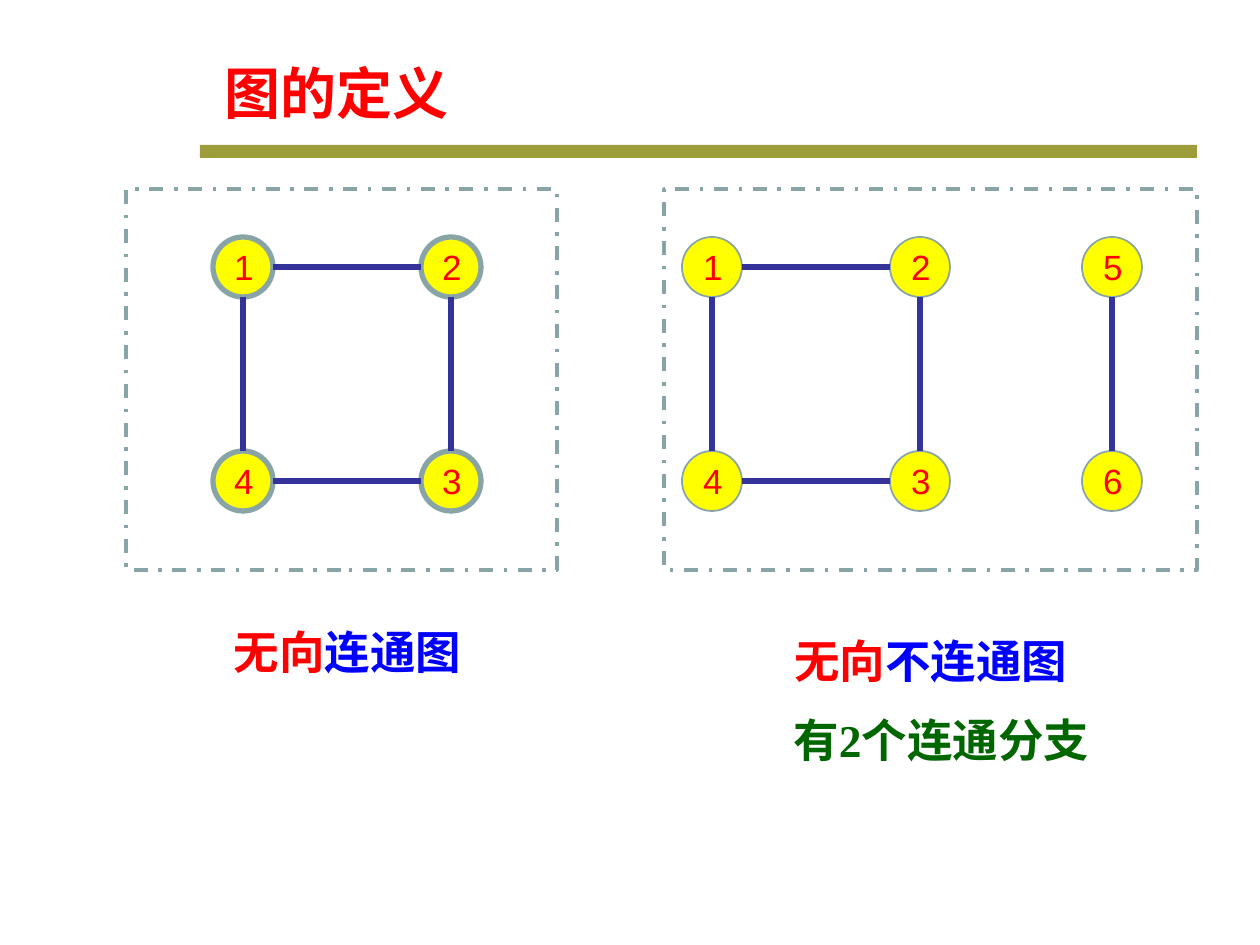
from dataclasses import dataclass

from lxml import etree
from pptx import Presentation
from pptx.dml.color import RGBColor
from pptx.enum.dml import MSO_LINE
from pptx.enum.shapes import MSO_CONNECTOR, MSO_SHAPE
from pptx.enum.text import MSO_ANCHOR, MSO_AUTO_SIZE, PP_ALIGN
from pptx.oxml.ns import qn
from pptx.util import Emu, Pt

RECTANGLE, OVAL = MSO_SHAPE.RECTANGLE, MSO_SHAPE.OVAL
STRAIGHT = MSO_CONNECTOR.STRAIGHT
DASH_DOT = MSO_LINE.DASH_DOT
TOP, MIDDLE = MSO_ANCHOR.TOP, MSO_ANCHOR.MIDDLE
LEFT, CENTER, RIGHT = PP_ALIGN.LEFT, PP_ALIGN.CENTER, PP_ALIGN.RIGHT
GROW, FIXED = MSO_AUTO_SIZE.SHAPE_TO_FIT_TEXT, MSO_AUTO_SIZE.NONE
TITLE_ONLY = 5

RED = RGBColor(0xFF, 0x00, 0x00)
BLUE = RGBColor(0x00, 0x00, 0xFF)
GREEN = RGBColor(0x00, 0x66, 0x00)
YELLOW = RGBColor(0xFF, 0xFF, 0x00)
OLIVE = RGBColor(0x80, 0x80, 0x00)
GREY = RGBColor(0x89, 0xA4, 0xA7)
INDIGO = RGBColor(0x33, 0x33, 0x99)

PX_PER_INCH = 126
NODE_SIZE = 60
TOP_ROW, BOTTOM_ROW = 267, 481
FRAME_TOP, FRAME_HEIGHT = 189, 381
CAPTION_HEIGHT = 81


@dataclass(frozen=True)
class Graph:
    frame_left: int
    frame_width: int
    outline: int
    nodes: dict[str, tuple[int, int]]
    edges: tuple[str, ...]


@dataclass(frozen=True)
class Caption:
    left: int
    top: int
    width: int
    runs: tuple[tuple[str, RGBColor], ...]
    typeface: str = "Arial"


def square(left: int, right: int) -> dict[str, tuple[int, int]]:
    """Centres of nodes 1 to 4, clockwise from the top left."""
    return {"1": (left, TOP_ROW), "2": (right, TOP_ROW),
            "3": (right, BOTTOM_ROW), "4": (left, BOTTOM_ROW)}


SQUARE_EDGES = ("12", "32", "43", "41")
GRAPHS = (
    Graph(126, 431, 3, square(243, 451), SQUARE_EDGES),
    Graph(664, 533, 1,
          square(712, 920) | {"5": (1112, TOP_ROW), "6": (1112, BOTTOM_ROW)},
          SQUARE_EDGES + ("65",)),
)
CAPTIONS = (
    Caption(214, 604, 260, (("无向", RED), ("连通图", BLUE))),
    Caption(774, 613, 306, (("无向", RED), ("不连通图", BLUE))),
    Caption(750, 692, 352, (("有2个连通分支", GREEN),), "Times New Roman"),
)


def px(*lengths: int) -> list[Emu]:
    return [Emu(round(length * 914400 / PX_PER_INCH)) for length in lengths]


def apply(target, values: dict) -> None:
    for attribute, value in values.items():
        setattr(target, attribute, value)


def add_run(paragraph, text: str, color: RGBColor, **values) -> None:
    run = paragraph.add_run()
    run.text = text
    apply(run.font, values)
    run.font.color.rgb = color


def add_plain_shape(shapes, preset, left: int, top: int, width: int, height: int):
    shape = shapes.add_shape(preset, *px(left, top, width, height))
    shape.shadow.inherit = False
    return shape


def draw_title(slide) -> None:
    title = slide.shapes.title
    apply(title, dict(zip(("left", "top", "width", "height"), px(212, 52, 270, 81))))
    apply(title.text_frame, {"vertical_anchor": TOP, "word_wrap": False,
                             "auto_size": FIXED})
    paragraph = title.text_frame.paragraphs[0]
    paragraph.alignment = LEFT
    add_run(paragraph, "图的定义", RED, name="Arial", size=Pt(32), bold=True)


def draw_rule(slide) -> None:
    rule = add_plain_shape(slide.shapes, RECTANGLE, 200, 145, 997, 13)
    rule.fill.solid()
    rule.fill.fore_color.rgb = OLIVE
    rule.line.fill.background()
    color = rule.fill._xPr.find(qn("a:solidFill"))[0]
    etree.SubElement(color, qn("a:alpha"), val="77000")


def draw_node(shapes, label: str, x: int, y: int, outline: int) -> None:
    node = add_plain_shape(shapes, OVAL, x - NODE_SIZE // 2, y - NODE_SIZE // 2,
                           NODE_SIZE, NODE_SIZE)
    node.fill.solid()
    node.fill.fore_color.rgb = YELLOW
    node.line.color.rgb = GREY
    node.line.width = Pt(outline)
    node.text_frame.vertical_anchor = MIDDLE
    paragraph = node.text_frame.paragraphs[0]
    paragraph.alignment = CENTER
    add_run(paragraph, label, RED, name="Arial", size=Pt(20))


def draw_edge(shapes, start: tuple[int, int], end: tuple[int, int]) -> None:
    """Join two nodes of one row or column from rim to rim."""
    (x1, y1), (x2, y2) = start, end
    radius = NODE_SIZE // 2
    dx = radius * ((x2 > x1) - (x2 < x1))
    dy = radius * ((y2 > y1) - (y2 < y1))
    edge = shapes.add_connector(STRAIGHT, *px(x1 + dx, y1 + dy, x2 - dx, y2 - dy))
    edge.line.color.rgb = INDIGO
    edge.line.width = Pt(3)
    etree.SubElement(edge._element.spPr, qn("a:effectLst"))


def draw_graph(slide, graph: Graph) -> None:
    shapes = slide.shapes.add_group_shape().shapes
    for label, (x, y) in graph.nodes.items():
        draw_node(shapes, label, x, y, graph.outline)
    for start, end in graph.edges:
        draw_edge(shapes, graph.nodes[start], graph.nodes[end])
    frame = add_plain_shape(shapes, RECTANGLE, graph.frame_left, FRAME_TOP,
                            graph.frame_width, FRAME_HEIGHT)
    frame.fill.background()
    frame.line.color.rgb = GREY
    apply(frame.line, {"width": Pt(2), "dash_style": DASH_DOT})


def draw_caption(slide, caption: Caption) -> None:
    box = slide.shapes.add_textbox(
        *px(caption.left, caption.top, caption.width, CAPTION_HEIGHT))
    apply(box.text_frame, {"word_wrap": False, "auto_size": GROW})
    paragraph = box.text_frame.paragraphs[0]
    apply(paragraph, {"alignment": RIGHT, "line_spacing": 1.25})
    for text, color in caption.runs:
        add_run(paragraph, text, color, name=caption.typeface, size=Pt(26), bold=True)


def main() -> None:
    presentation = Presentation()
    presentation.slide_width, presentation.slide_height = px(1260, 945)
    slide = presentation.slides.add_slide(presentation.slide_layouts[TITLE_ONLY])

    # Heading
    draw_rule(slide)
    draw_title(slide)

    # Connected and disconnected graphs
    for graph in GRAPHS:
        draw_graph(slide, graph)
    for caption in CAPTIONS:
        draw_caption(slide, caption)

    presentation.save("out.pptx")


if __name__ == "__main__":
    main()
